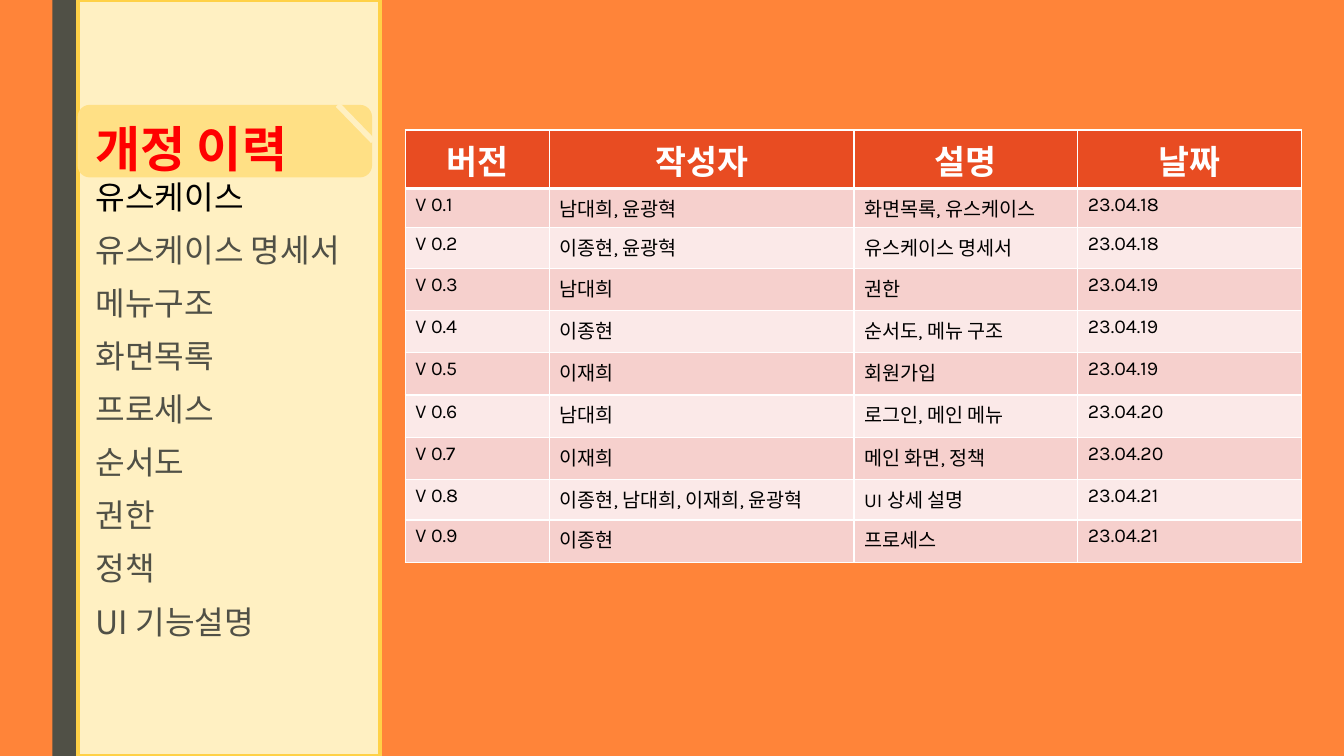
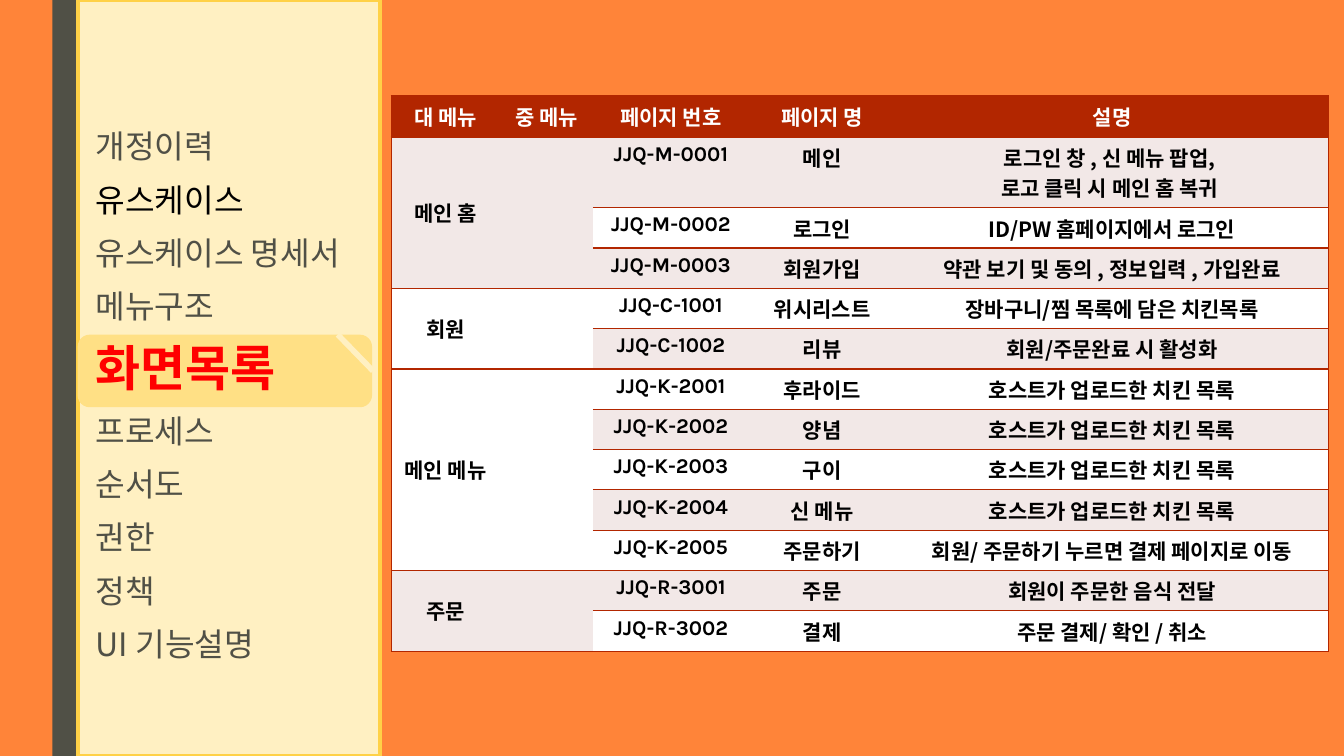
"""Build two planning slides: the revision history and the screen list."""
from lxml import etree
from pptx import Presentation
from pptx.dml.color import RGBColor
from pptx.enum.shapes import MSO_CONNECTOR, MSO_SHAPE
from pptx.enum.text import MSO_ANCHOR, PP_ALIGN
from pptx.oxml.ns import qn
from pptx.util import Inches, Pt

RECTANGLE = MSO_SHAPE.RECTANGLE
ROUNDED = MSO_SHAPE.ROUNDED_RECTANGLE
STRAIGHT = MSO_CONNECTOR.STRAIGHT
CENTER, LEFT = PP_ALIGN.CENTER, PP_ALIGN.LEFT
TOP, MIDDLE = MSO_ANCHOR.TOP, MSO_ANCHOR.MIDDLE

ORANGE = RGBColor(0xFF, 0x84, 0x39)
GRAY = RGBColor(0x50, 0x50, 0x46)
CREAM = RGBColor(0xFF, 0xF0, 0xC2)
GOLD = RGBColor(0xFF, 0xD1, 0x47)
TAB_YELLOW = RGBColor(0xFF, 0xE0, 0x85)
RED = RGBColor(0xFF, 0x00, 0x00)
BLACK = RGBColor(0x00, 0x00, 0x00)
WHITE = RGBColor(0xFF, 0xFF, 0xFF)
VERMILION = RGBColor(0xE8, 0x4C, 0x22)
PINK = RGBColor(0xF6, 0xD0, 0xCD)
PALE_PINK = RGBColor(0xFB, 0xE9, 0xE8)
BRICK = RGBColor(0xB2, 0x26, 0x00)
ROSE_GRAY = RGBColor(0xF2, 0xE8, 0xE7)

KOREAN_FONT = "Noto Sans CJK KR"
TABLE_FONT = "Karla"

MENU_TAIL = ["유스케이스 명세서", "메뉴구조", "화면목록", "프로세스", "순서도",
             "권한", "정책", "UI 기능설명"]
MENUS = [
    {"active": "개정 이력", "tab_top": 1.04, "text_top": 1.13,
     "items": [["개정 이력", "유스케이스"]] + [[item] for item in MENU_TAIL]},
    {"active": "화면목록", "tab_top": 3.32, "text_top": 1.24,
     "items": [[item] for item in ["개정이력", "유스케이스"] + MENU_TAIL]},
]

HISTORY_WIDTHS = [1.43, 3.02, 2.22, 2.22]
HISTORY_HEIGHTS = [0.58, 0.39, 0.4, 0.42, 0.42, 0.42, 0.42, 0.42, 0.4, 0.42]
HISTORY = [
    ["버전", "작성자", "설명", "날짜"],
    ["V 0.1", "남대희, 윤광혁", "화면목록, 유스케이스", "23.04.18"],
    ["V 0.2", "이종현, 윤광혁", "유스케이스 명세서", "23.04.18"],
    ["V 0.3", "남대희", "권한", "23.04.19"],
    ["V 0.4", "이종현", "순서도, 메뉴 구조", "23.04.19"],
    ["V 0.5", "이재희", "회원가입", "23.04.19"],
    ["V 0.6", "남대희", "로그인, 메인 메뉴", "23.04.20"],
    ["V 0.7", "이재희", "메인 화면, 정책", "23.04.20"],
    ["V 0.8", "이종현, 남대희, 이재희, 윤광혁", "UI 상세 설명", "23.04.21"],
    ["V 0.9", "이종현", "프로세스", "23.04.21"],
]

SCREEN_WIDTHS = [1.08, 0.92, 1.55, 1.45, 4.3]
SCREEN_HEIGHTS = [0.41, 0.7] + [0.4] * 11
SCREEN_HEADER = ["대 메뉴", "중 메뉴", "페이지 번호", "페이지 명", "설명"]
UPLOADED = "호스트가 업로드한 치킨 목록"
SCREEN_GROUPS = [
    ("메인 홈", [
        ("JJQ-M-0001", "메인", "로그인 창 , 신 메뉴 팝업, \n로고 클릭 시 메인 홈 복귀 "),
        ("JJQ-M-0002", "로그인", "ID/PW 홈페이지에서 로그인"),
        ("JJQ-M-0003", "회원가입", "약관 보기 및 동의 , 정보입력 , 가입완료")]),
    ("회원", [
        ("JJQ-C-1001", "위시리스트", "장바구니/찜 목록에 담은 치킨목록"),
        ("JJQ-C-1002", "리뷰", "회원/주문완료 시 활성화")]),
    ("메인 메뉴", [
        ("JJQ-K-2001", "후라이드", UPLOADED),
        ("JJQ-K-2002", "양념", UPLOADED),
        ("JJQ-K-2003", "구이", UPLOADED),
        ("JJQ-K-2004", "신 메뉴", UPLOADED),
        ("JJQ-K-2005", "주문하기", "회원/ 주문하기 누르면 결제 페이지로 이동")]),
    ("주문", [
        ("JJQ-R-3001", "주문", "회원이 주문한 음식 전달"),
        ("JJQ-R-3002", "결제", "주문 결제/ 확인 / 취소")]),
]


def add_run(paragraph, text, size, color, bold=False, font=KOREAN_FONT):
    run = paragraph.add_run()
    run.text = text
    run.font.size = Pt(size)
    run.font.bold = bold
    run.font.color.rgb = color
    run.font.name = font
    etree.SubElement(run.font._element, qn("a:ea"), typeface=KOREAN_FONT)


def fill_cell(cell, text, size, color, fill, borders, bold=False,
              align=LEFT, anchor=TOP, font=TABLE_FONT):
    properties = cell._tc.get_or_add_tcPr()
    for side, (border_color, width) in zip("LRTB", borders):
        line = etree.SubElement(properties, qn(f"a:ln{side}"), w=str(Pt(width)))
        if border_color is None:
            etree.SubElement(line, qn("a:noFill"))
        else:
            solid = etree.SubElement(line, qn("a:solidFill"))
            etree.SubElement(solid, qn("a:srgbClr"), val=str(border_color))
    cell.fill.solid()
    cell.fill.fore_color.rgb = fill
    cell.vertical_anchor = anchor
    for index, line_text in enumerate(text.split("\n") if text else []):
        frame = cell.text_frame
        paragraph = frame.add_paragraph() if index else frame.paragraphs[0]
        paragraph.alignment = align
        add_run(paragraph, line_text, size, color, bold, font)


presentation = Presentation()
presentation.slide_width = Inches(13.33)
presentation.slide_height = Inches(7.5)
background = presentation.slide_master.background.fill
background.solid()
background.fore_color.rgb = ORANGE
blank_layout = presentation.slide_layouts[6]

slides = []
for menu in MENUS:
    slide = presentation.slides.add_slide(blank_layout)
    slides.append(slide)
    band = slide.shapes.add_shape(RECTANGLE, Inches(0.52), 0, Inches(0.25), Inches(7.5))
    panel = slide.shapes.add_shape(RECTANGLE, Inches(0.77), 0, Inches(3), Inches(7.5))
    group = slide.shapes.add_group_shape()
    tab_top = menu["tab_top"]
    tab = group.shapes.add_shape(ROUNDED, Inches(0.77), Inches(tab_top),
                                 Inches(2.92), Inches(0.72))
    for shape, color in [(band, GRAY), (panel, CREAM), (tab, TAB_YELLOW)]:
        shape.shadow.inherit = False
        shape.fill.solid()
        shape.fill.fore_color.rgb = color
        shape.line.fill.background()
    panel.line.color.rgb = GOLD
    panel.line.width = Pt(2.75)
    fold = group.shapes.add_connector(STRAIGHT, Inches(3.7), Inches(tab_top + 0.36),
                                      Inches(3.35), Inches(tab_top))
    fold.line.color.rgb = CREAM
    fold.line.width = Pt(4)
    etree.SubElement(fold._element.spPr, qn("a:effectLst"))

    box = slide.shapes.add_textbox(Inches(0.85), Inches(menu["text_top"]),
                                   Inches(3.1), Inches(5.4))
    frame = box.text_frame
    frame.word_wrap = True
    for index, labels in enumerate(menu["items"]):
        paragraph = frame.add_paragraph() if index else frame.paragraphs[0]
        paragraph.line_spacing = 1.0 if len(labels) > 1 else 0.94
        paragraph.space_before = Pt(10 if index else 0)
        paragraph.space_after = Pt(2)
        for position, label in enumerate(labels):
            if position:
                paragraph.add_line_break()
            if label == menu["active"]:
                add_run(paragraph, label, 35, RED, True)
            else:
                add_run(paragraph, label, 23, BLACK if label == "유스케이스" else GRAY)

tables = []
for slide, left, top, widths, heights in [
        (slides[0], 4.02, 1.29, HISTORY_WIDTHS, HISTORY_HEIGHTS),
        (slides[1], 3.88, 0.95, SCREEN_WIDTHS, SCREEN_HEIGHTS)]:
    table = slide.shapes.add_table(len(heights), len(widths), Inches(left), Inches(top),
                                   Inches(sum(widths)), Inches(sum(heights))).table
    table.first_row = False
    table.horz_banding = False
    for column, width in zip(table.columns, widths):
        column.width = Inches(width)
    for row, height in zip(table.rows, heights):
        row.height = Inches(height)
    tables.append(table)
history_table, screen_table = tables

thin, thick = (WHITE, 1), (WHITE, 3)
for row, values in enumerate(HISTORY):
    for column, text in enumerate(values):
        cell = history_table.cell(row, column)
        if row == 0:
            fill_cell(cell, text, 24, WHITE, VERMILION, [thin, thin, thin, thick],
                      bold=True, align=CENTER)
        else:
            fill_cell(cell, text, 14, BLACK, PINK if row % 2 else PALE_PINK,
                      [thin, thin, thick if row == 1 else thin, thin])

rule, none = (BRICK, 1), (None, 1)
column_borders = [[rule, none, rule, rule]] + [[none, none, rule, rule]] * 3
column_borders.append([none, rule, rule, rule])
for column, text in enumerate(SCREEN_HEADER):
    fill_cell(screen_table.cell(0, column), text, 15, WHITE, BRICK,
              column_borders[column], bold=True, align=CENTER)
row = 1
for group_name, screens in SCREEN_GROUPS:
    group_fill = ROSE_GRAY if row % 2 else WHITE
    for column, text in enumerate([group_name, ""]):
        cell = screen_table.cell(row, column)
        cell.merge(screen_table.cell(row + len(screens) - 1, column))
        fill_cell(cell, text, 15, BLACK, group_fill, column_borders[column],
                  bold=True, align=CENTER, anchor=MIDDLE)
    for screen in screens:
        for column, text in enumerate(screen, start=2):
            fill_cell(screen_table.cell(row, column), text, 15, BLACK,
                      ROSE_GRAY if row % 2 else WHITE, column_borders[column],
                      bold=True, align=CENTER,
                      font=KOREAN_FONT if column == 4 else TABLE_FONT)
        row += 1

presentation.save("out.pptx")
